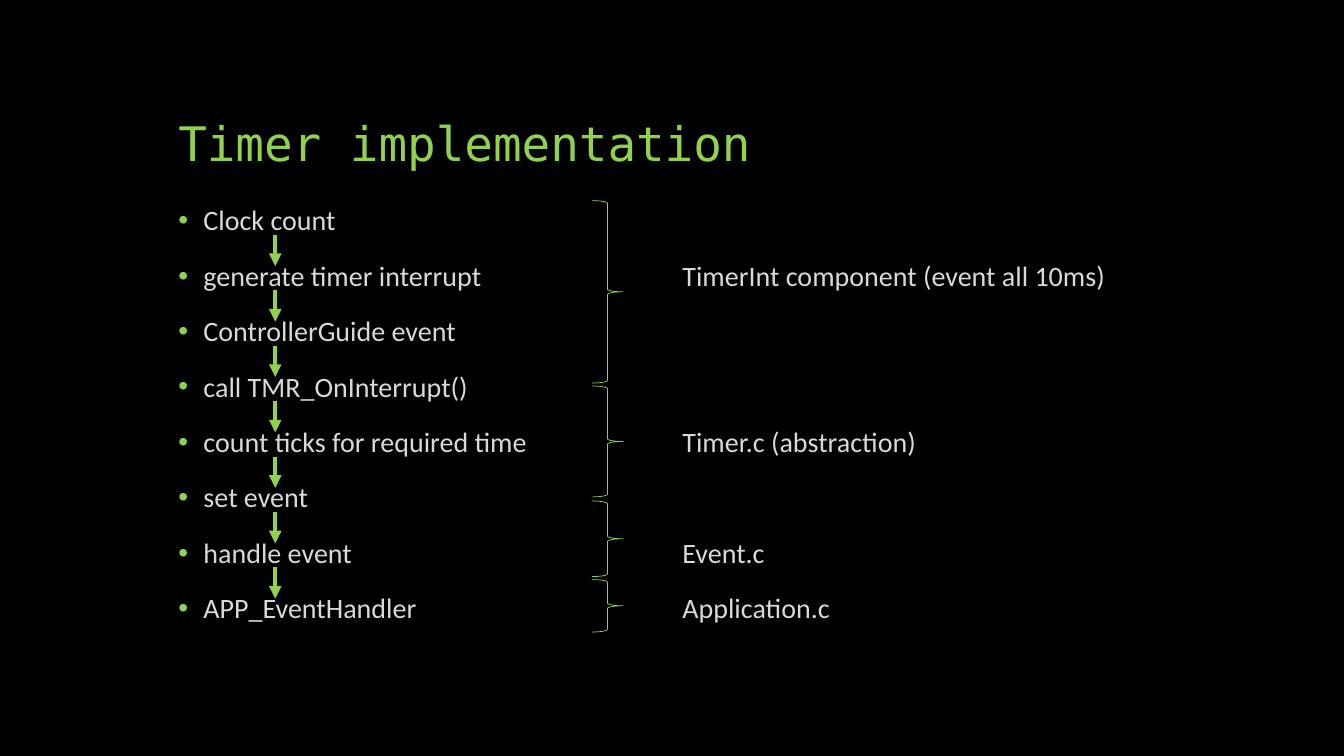
from lxml.etree import SubElement
from pptx import Presentation
from pptx.dml.color import RGBColor
from pptx.enum.shapes import MSO_CONNECTOR, MSO_SHAPE
from pptx.enum.text import MSO_ANCHOR
from pptx.oxml.ns import qn
from pptx.util import Inches, Pt

COLORS = {"background": "000000", "accent": "92D050", "text": "D9D9D9"}
LEFT, WIDTH = 1.67, 10
ROW_PITCH = 0.55
ARROW_X, ARROW_TOP, ARROW_LENGTH = 2.73, 2.33, 0.31
BRACE_X, BRACE_WIDTH = 5.87, 0.31

# Each step of the timer chain; tabs lead to the file that owns the braced steps
STEPS = [
    "Clock count",
    "generate timer interrupt\t\tTimerInt component (event all 10ms)",
    "ControllerGuide event",
    "call TMR_OnInterrupt()",
    "count ticks for required time\t\tTimer.c (abstraction)",
    "set event",
    "handle event\t\t\t\tEvent.c",
    "APP_EventHandler\t\t\tApplication.c",
]
BRACE_SPANS = [(1.99, 1.81), (3.83, 1.1), (4.97, 0.75), (5.75, 0.52)]


def add_text_frame(top, height, anchor):
    frame = slide.shapes.add_textbox(
        Inches(LEFT), Inches(top), Inches(WIDTH), Inches(height)).text_frame
    frame.word_wrap = True
    frame.vertical_anchor = anchor
    return frame


def add_run(paragraph, text, font_name, size, color):
    paragraph.line_spacing = 0.9
    run = paragraph.add_run()
    run.text = text
    run.font.name = font_name
    run.font.size = Pt(size)
    run.font.color.rgb = RGBColor.from_string(COLORS[color])


prs = Presentation()
prs.slide_width, prs.slide_height = Inches(13.33), Inches(7.5)
slide = prs.slides.add_slide(prs.slide_layouts[6])
slide.background.fill.solid()
slide.background.fill.fore_color.rgb = RGBColor.from_string(COLORS["background"])
accent = RGBColor.from_string(COLORS["accent"])

title = add_text_frame(0.5, 1.25, MSO_ANCHOR.BOTTOM)
add_run(title.paragraphs[0], "Timer implementation", "DejaVu Sans Mono", 34, "accent")

step_list = add_text_frame(2, 4.67, MSO_ANCHOR.TOP)
for index, step in enumerate(STEPS):
    paragraph = step_list.add_paragraph() if index else step_list.paragraphs[0]
    paragraph.space_before = Pt(18)
    add_run(paragraph, step, "Calibri", 20, "text")
    props = paragraph._p.get_or_add_pPr()
    props.set("marL", str(Inches(0.25)))
    props.set("indent", str(-Inches(0.25)))
    props.set("defTabSz", str(Inches(1)))
    bullet_color = SubElement(props, qn("a:buClr"))
    SubElement(bullet_color, qn("a:srgbClr"), val=COLORS["accent"])
    SubElement(props, qn("a:buFont"), typeface="Arial")
    SubElement(props, qn("a:buChar"), char="•")

for top, height in BRACE_SPANS:
    brace = slide.shapes.add_shape(
        MSO_SHAPE.RIGHT_BRACE, Inches(BRACE_X), Inches(top),
        Inches(BRACE_WIDTH), Inches(height))
    brace.shadow.inherit = False
    brace.fill.background()
    brace.line.color.rgb = accent
    brace.line.width = Pt(0.5)

for gap in range(len(STEPS) - 1):
    arrow_top = ARROW_TOP + gap * ROW_PITCH
    arrow = slide.shapes.add_connector(
        MSO_CONNECTOR.STRAIGHT, Inches(ARROW_X), Inches(arrow_top),
        Inches(ARROW_X), Inches(arrow_top + ARROW_LENGTH))
    arrow.line.color.rgb = accent
    arrow.line.width = Pt(3)
    SubElement(arrow.line._get_or_add_ln(), qn("a:tailEnd"), type="triangle")
    SubElement(arrow._element.spPr, qn("a:effectLst"))

prs.save("out.pptx")
